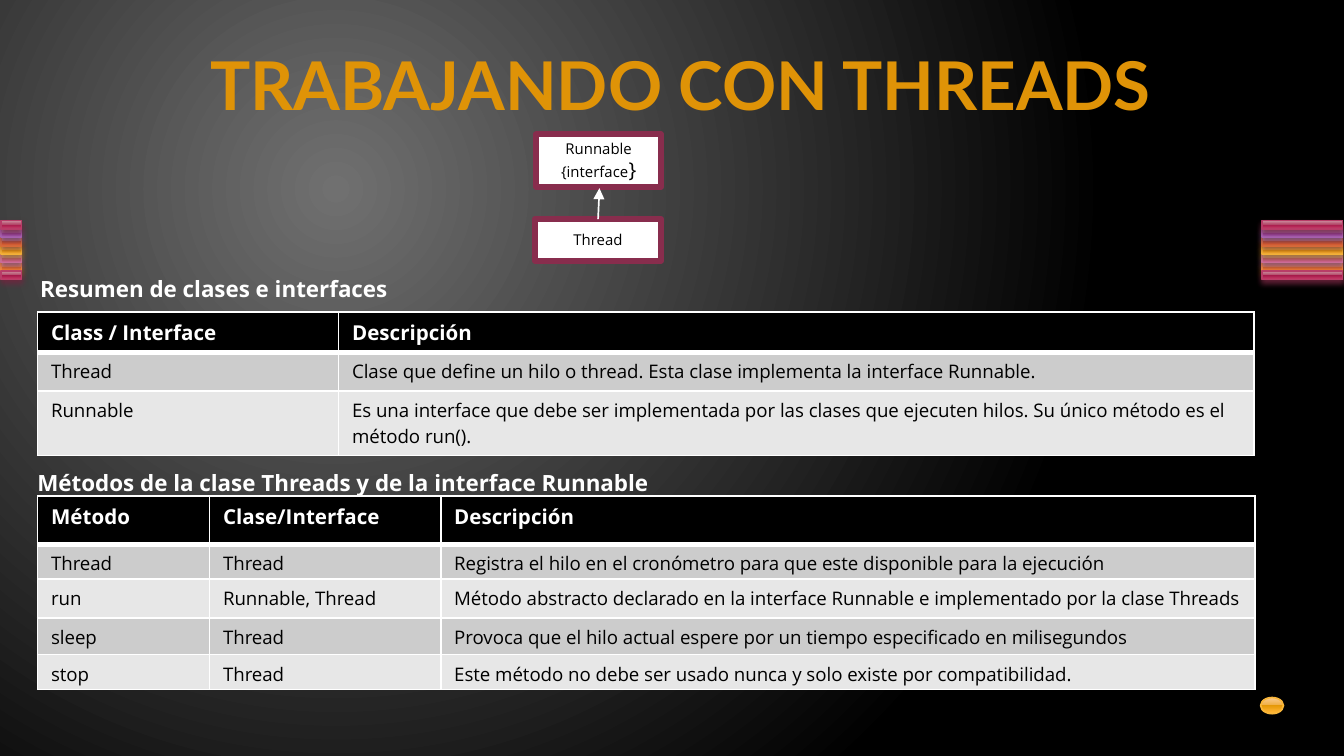
from lxml import etree
from pptx import Presentation
from pptx.dml.color import RGBColor
from pptx.enum.shapes import MSO_CONNECTOR, MSO_SHAPE
from pptx.enum.text import MSO_ANCHOR, PP_ALIGN
from pptx.oxml import parse_xml
from pptx.oxml.ns import nsdecls, qn
from pptx.util import Inches, Pt

RECTANGLE, OVAL = MSO_SHAPE.RECTANGLE, MSO_SHAPE.OVAL
STRAIGHT = MSO_CONNECTOR.STRAIGHT
CENTER, TOP, MIDDLE = PP_ALIGN.CENTER, MSO_ANCHOR.TOP, MSO_ANCHOR.MIDDLE

BODY_FONT, TITLE_FONT = "Open Sans", "Lato"
COLORS = {
    "title": "DF9307", "white": "FFFFFF", "black": "000000", "glow": "707070",
    "frame": "882D4D", "odd_row": "CCCCCC", "even_row": "E7E7E7",
    "crimson_line": "B83D68", "crimson_shadow": "722640",
    "purple_line": "AC66BB", "purple_shadow": "6A3F73",
    "red_line": "DE6C36", "red_shadow": "894321",
    "amber_line": "F9B639", "amber_shadow": "9A7023",
    "pink_line": "CF6DA4", "pink_shadow": "804365",
    "orange_line": "FA8D3D", "orange_shadow": "9A5726",
}
GLOSS_STOPS = (0, 49, 49, 92, 100)
GLOSS = {
    "crimson": ("CE94A2", "B34869", "A61749", "C13764", "CA5D7C"),
    "purple": ("C6A2D0", "A666B4", "8F3EA1", "AD5DBF", "BA76CA"),
    "red": ("E7A493", "D66B42", "CC4809", "E9642C", "F07B55"),
    "amber": ("FBCC93", "EFAE43", "E59807", "FFB432", "FFBE5F"),
    "pink": ("DDA4C1", "C66B9D", "B34181", "D361A0", "DC79AE"),
    "orange": ("FBB494", "F08745", "E5670B", "FF8736", "FF9961"),
}
STRIPES = ("crimson", "purple", "red", "amber", "pink", "orange", "crimson")
STACKING = (5, 4, 3, 2, 1, 0, 6)

CLASS_ROWS = (
    ("Class / Interface", "Descripción"),
    ("Thread", "Clase que define un hilo o thread. Esta clase implementa la "
     "interface Runnable."),
    ("Runnable", "Es una interface que debe ser implementada por las clases que "
     "ejecuten hilos. Su único método es el método run()."),
)
METHOD_ROWS = (
    ("Método", "Clase/Interface", "Descripción"),
    ("Thread", "Thread", "Registra el hilo en el cronómetro para que este "
     "disponible para la ejecución"),
    ("run", "Runnable, Thread", "Método abstracto declarado en la interface "
     "Runnable e implementado por la clase Threads"),
    ("sleep", "Thread", "Provoca que el hilo actual espere por un tiempo "
     "especificado en milisegundos"),
    ("stop", "Thread", "Este método no debe ser usado nunca y solo existe por "
     "compatibilidad."),
)


def rgb(name):
    """Return the named colour."""
    return RGBColor.from_string(COLORS[name])


def inches(*lengths):
    """Turn several numbers into lengths."""
    return [Inches(length) for length in lengths]


def set_font(font, size, color, bold=False, name=BODY_FONT):
    """Set the face, size, colour and weight of a font."""
    font.name, font.size, font.bold = name, Pt(size), bold
    font.color.rgb = rgb(color)


def set_stops(gradient, stops):
    """Replace the stops of a gradient with (position, hex) pairs."""
    stop_list = gradient.find(qn("a:gsLst"))
    for stop in list(stop_list):
        stop_list.remove(stop)
    for position, color in stops:
        stop = etree.SubElement(stop_list, qn("a:gs"), pos=str(position * 1000))
        etree.SubElement(stop, qn("a:srgbClr"), val=color)


def paint_background(page):
    """Fill the page with a circular glow."""
    page.background.fill.gradient()
    gradient = page._element.xpath(".//p:bg//a:gradFill")[0]
    set_stops(gradient, ((0, COLORS["glow"]), (100, COLORS["black"])))
    gradient.replace(gradient.find(qn("a:lin")), parse_xml(
        f'<a:path {nsdecls("a")} path="circle"><a:fillToRect l="50000" '
        't="50000" r="100000" b="100000"/></a:path>'))


def add_glossy(shapes, kind, box, color, shadow=True):
    """Add a glossy shape, with a soft shadow below it if asked."""
    shape = shapes.add_shape(kind, *inches(*box))
    shape.fill.gradient()
    shape.fill.gradient_angle = 270
    set_stops(shape._element.spPr.find(qn("a:gradFill")),
              zip(GLOSS_STOPS, GLOSS[color]))
    shape.line.color.rgb = rgb(color + "_line")
    shape.line.width = Pt(0.9)
    shape.shadow.inherit = False
    if shadow:
        shape._element.spPr.find(qn("a:effectLst")).append(parse_xml(
            f'<a:outerShdw {nsdecls("a")} blurRad="{Pt(3.1)}" dist="{Pt(2)}" '
            'dir="5400000" rotWithShape="0">'
            f'<a:srgbClr val="{COLORS[color + "_shadow"]}">'
            '<a:alpha val="83000"/></a:srgbClr></a:outerShdw>'))


def add_stripes(page, left, top, width, height):
    """Stack the coloured stripes in a box, upper ones in front."""
    group = page.shapes.add_group_shape()
    step = height / len(STRIPES)
    for index in STACKING:
        add_glossy(group.shapes, RECTANGLE,
                   (left, top + index * step, width, step), STRIPES[index])


def add_title(page, text, box):
    """Place and format the title."""
    title = page.shapes.title
    title.left, title.top, title.width, title.height = inches(*box)
    title.text_frame.text = text
    title.text_frame.vertical_anchor = TOP
    para = title.text_frame.paragraphs[0]
    para.alignment = CENTER
    set_font(para.font, 36, "title", True, TITLE_FONT)


def add_class_box(page, lines, box):
    """Add a framed class box with centred lines of text."""
    shape = page.shapes.add_shape(RECTANGLE, *inches(*box))
    shape.shadow.inherit = False
    shape.fill.solid()
    shape.fill.fore_color.rgb = rgb("white")
    shape.line.color.rgb = rgb("frame")
    shape.line.width = Pt(3.15)
    frame = shape.text_frame
    frame.vertical_anchor = MIDDLE
    frame.text = "\n".join(lines)
    for para in frame.paragraphs:
        para.alignment = CENTER
        set_font(para.font, 8, "black")
    return shape


def add_diagram(page, left, top):
    """Draw Thread pointing up at the interface it implements."""
    runnable = add_class_box(page, ("Runnable", "{interface"),
                             (left + 0.01, top, 0.93, 0.39))
    brace = runnable.text_frame.paragraphs[1].add_run()
    brace.text = "}"
    brace.font.size = Pt(11)
    add_class_box(page, ("Thread",), (left, top + 0.63, 0.94, 0.31))
    arrow = page.shapes.add_connector(STRAIGHT, *inches(
        left + 0.47, top + 0.63, left + 0.48, top + 0.4))
    arrow.line.color.rgb = rgb("white")
    arrow.line.width = Pt(0.9)
    etree.SubElement(arrow.line._get_or_add_ln(), qn("a:tailEnd"), type="triangle")
    etree.SubElement(arrow._element.spPr, qn("a:effectLst"))


def add_caption(page, text, box):
    """Add the bold caption of a table."""
    frame = page.shapes.add_textbox(*inches(*box)).text_frame
    frame.word_wrap = True
    frame.text = text
    set_font(frame.paragraphs[0].font, 12, "white", True)


def set_borders(cell, bottom):
    """Give a cell white borders; bottom is the lower width in points."""
    properties = cell._tc.get_or_add_tcPr()
    for index, (side, width) in enumerate(zip("LRTB", (1, 1, 1, bottom))):
        properties.insert(index, parse_xml(
            f'<a:ln{side} {nsdecls("a")} w="{Pt(width)}"><a:solidFill>'
            f'<a:srgbClr val="{COLORS["white"]}"/></a:solidFill></a:ln{side}>'))


def add_grid(page, rows, left, top, widths, heights, bottom_margin):
    """Add a table with a black header and banded rows."""
    table = page.shapes.add_table(len(rows), len(widths), *inches(
        left, top, sum(widths), sum(heights))).table
    for column, width in zip(table.columns, widths):
        column.width = Inches(width)
    for row, height in zip(table.rows, heights):
        row.height = Inches(height)
    for r, texts in enumerate(rows):
        header = r == 0
        fill = "black" if header else "odd_row" if r % 2 else "even_row"
        for c, text in enumerate(texts):
            cell = table.cell(r, c)
            cell.text = text
            cell.margin_bottom = Inches(bottom_margin)
            cell.fill.solid()
            cell.fill.fore_color.rgb = rgb(fill)
            set_borders(cell, 3 if header else 1)
            set_font(cell.text_frame.paragraphs[0].font, 11 if header else 10,
                     "white" if header else "black", header)


deck = Presentation()
deck.slide_width, deck.slide_height = inches(10, 10 * 9 / 16)
page = deck.slides.add_slide(deck.slide_layouts[5])
paint_background(page)
for left, width in ((0.01, 0.15), (9.39, 0.6)):
    add_stripes(page, left, 1.64, width, 0.44)
add_glossy(page.shapes, OVAL, (9.38, 5.19, 0.17, 0.12), "amber", shadow=False)
add_title(page, "TRABAJANDO CON THREADS", (0.98, 0.27, 8.17, 0.65))
add_diagram(page, 3.98, 1)
add_caption(page, "Resumen de clases e interfaces", (0.2, 2, 3.86, 0.3))
add_grid(page, CLASS_ROWS, 0.28, 2.32, (2.24, 6.81), (0.3, 0.29, 0.48), 0.05)
add_caption(page, "Métodos de la clase Threads y de la interface Runnable",
            (0.18, 3.44, 4.8, 0.3))
add_grid(page, METHOD_ROWS, 0.28, 3.69, (1.28, 1.72, 6.06),
         (0.36, 0.26, 0.29, 0.27, 0.26), 0)
deck.save("out.pptx")
